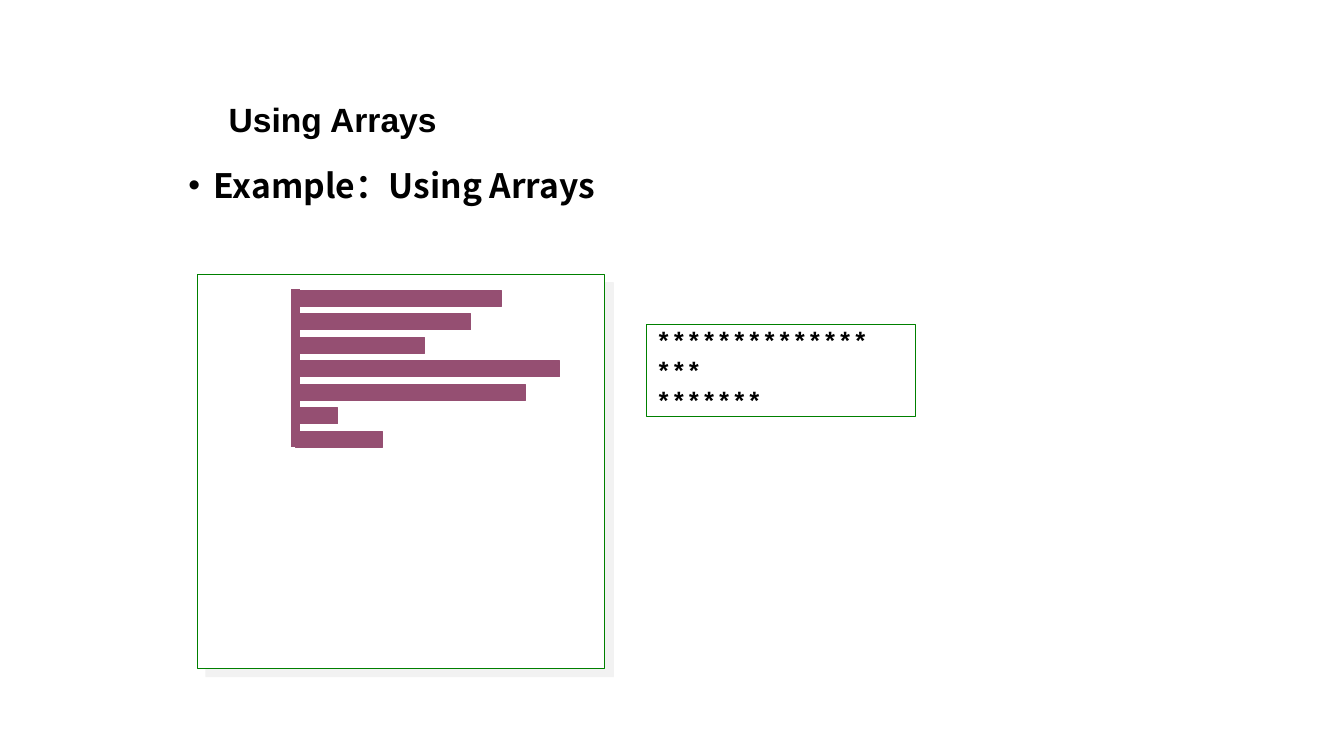
import dataclasses

import pptx
import pptx.dml.color
import pptx.enum.shapes
import pptx.enum.text
import pptx.oxml
import pptx.oxml.ns
import pptx.util
from pptx.util import Inches


@dataclasses.dataclass(frozen=True)
class Theme:
    """Colours, fonts and type sizes of the slide."""
    paper: str = "FFFFFF"
    ink: str = "000000"
    frame: str = "008000"
    bar: str = "954F72"
    shadow: str = "E7E6E6"
    title_font: str = "Arial"
    body_font: str = "Noto Sans CJK SC"
    code_font: str = "Courier New"
    heading_size: int = 24
    code_size: int = 18
    hairline: float = 0.75
    axis_width: int = 6


THEME = Theme()
BAR_WIDTHS = (2.04, 1.74, 1.28, 2.62, 2.28, 0.42, 0.86)
STAR_COUNTS = (14, 3, 7)


def rgb(value):
    """Return a colour object for a hex value."""
    return pptx.dml.color.RGBColor.from_string(value)


def add_xml(parent, tag, attributes="", inner=""):
    """Append a DrawingML element to a parent element."""
    namespace = pptx.oxml.ns.nsdecls("a")
    parent.append(pptx.oxml.parse_xml(f"<a:{tag} {namespace} {attributes}>{inner}</a:{tag}>"))


def add_panel(page, box, fill, line=None):
    """Add a flat rectangle with an optional thin outline."""
    kind = pptx.enum.shapes.MSO_SHAPE.RECTANGLE
    panel = page.shapes.add_shape(kind, *map(Inches, box))
    panel.shadow.inherit = False
    panel.fill.solid()
    panel.fill.fore_color.rgb = rgb(fill)
    if line:
        panel.line.color.rgb = rgb(line)
        panel.line.width = pptx.util.Pt(THEME.hairline)
    else:
        panel.line.fill.background()
    return panel


def write_text(panel, text, font, size, anchor):
    """Fill a panel with bold left-aligned text and return its paragraphs."""
    frame = panel.text_frame
    frame.text = text
    frame.word_wrap = True
    frame.vertical_anchor = anchor
    for para in frame.paragraphs:
        para.alignment = pptx.enum.text.PP_ALIGN.LEFT
        for span in para.runs:
            span.font.name = font
            span.font.size = pptx.util.Pt(size)
            span.font.bold = True
            span.font.color.rgb = rgb(THEME.ink)
            add_xml(span.font._element, "ea", f'typeface="{font}"')
    return frame.paragraphs


def add_title(page, box):
    """Add the slide title in the lower part of its box."""
    panel = add_panel(page, box, THEME.paper)
    panel.text_frame.margin_top = Inches(0.49)
    para = write_text(panel, "Using Arrays", THEME.title_font, THEME.heading_size,
                      pptx.enum.text.MSO_ANCHOR.TOP)[0]
    para.line_spacing = 0.9


def add_body(page, box):
    """Add the bulleted example heading."""
    panel = add_panel(page, box, THEME.paper)
    para = write_text(panel, "Example:Using Arrays".replace(":", "\uff1a"), THEME.body_font,
                      THEME.heading_size, pptx.enum.text.MSO_ANCHOR.TOP)[0]
    para.line_spacing = 0.9
    para.space_before = pptx.util.Pt(10)
    properties = para._element.get_or_add_pPr()
    properties.set("marL", str(Inches(0.25)))
    properties.set("indent", str(Inches(-0.25)))
    add_xml(properties, "buFont", 'typeface="Arial"')
    add_xml(properties, "buChar", 'char="\u2022"')


def add_bar_panel(page, box):
    """Add the shadowed frame with its horizontal bars and axis."""
    left, top = box[:2]
    panel = add_panel(page, box, THEME.paper, THEME.frame)
    effects = panel._element.spPr.find(pptx.oxml.ns.qn("a:effectLst"))
    color = f'<a:srgbClr val="{THEME.shadow}"><a:alpha val="50000"/></a:srgbClr>'
    distance = pptx.util.Pt(8.5)
    add_xml(effects, "outerShdw",
            f'blurRad="0" dist="{distance}" dir="2700000" algn="ctr" rotWithShape="0"', color)

    axis_left = left + 0.97
    pitch = 1.4 / (len(BAR_WIDTHS) - 1)
    for row, width in enumerate(BAR_WIDTHS):
        bar_box = (axis_left, top + 0.16 + row * pitch, width, 0.16)
        add_panel(page, bar_box, THEME.bar, THEME.bar)

    ends = (axis_left, top + 0.15, axis_left, top + 1.71)
    straight = pptx.enum.shapes.MSO_CONNECTOR.STRAIGHT
    axis = page.shapes.add_connector(straight, *map(Inches, ends))
    axis.line.color.rgb = rgb(THEME.bar)
    axis.line.width = pptx.util.Pt(THEME.axis_width)
    add_xml(axis._element.spPr, "effectLst")


def add_star_panel(page, box):
    """Add the framed rows of asterisks."""
    panel = add_panel(page, box, THEME.paper, THEME.frame)
    rows = "\n".join("*" * count for count in STAR_COUNTS)
    write_text(panel, rows, THEME.code_font, THEME.code_size,
               pptx.enum.text.MSO_ANCHOR.MIDDLE)


def build_deck():
    """Build and save the one-slide deck."""
    deck = pptx.Presentation()
    deck.slide_width = Inches(13.33)
    deck.slide_height = Inches(7.5)
    page = deck.slides.add_slide(deck.slide_layouts[6])
    page.background.fill.solid()
    page.background.fill.fore_color.rgb = rgb(THEME.paper)
    add_title(page, (2.17, 0.54, 9, 1.03))
    add_body(page, (1.77, 1.63, 9.78, 5.32))
    add_bar_panel(page, (1.96, 2.72, 4.04, 3.91))
    add_star_panel(page, (6.41, 3.22, 2.67, 0.91))
    deck.save("out.pptx")


build_deck()
